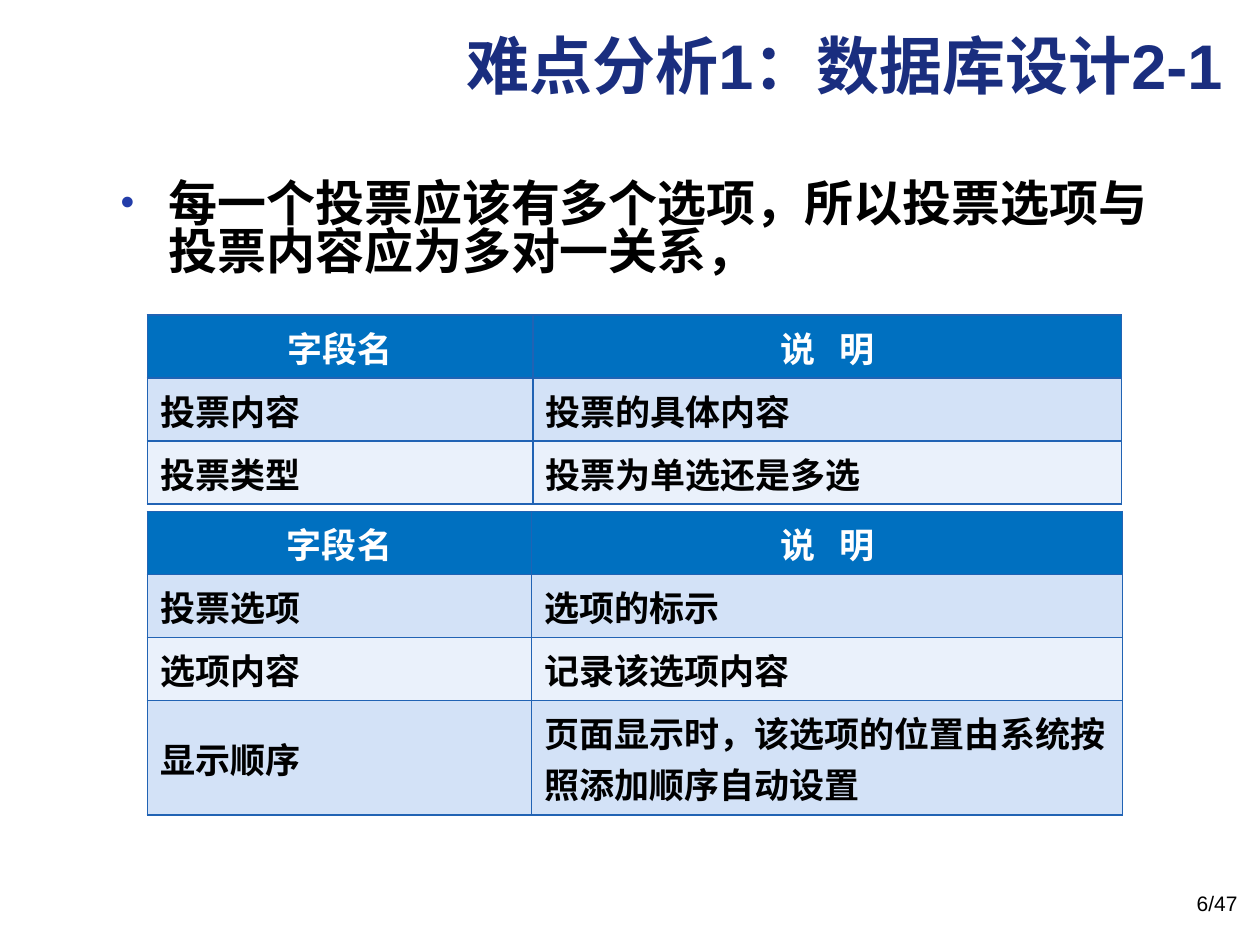
from dataclasses import dataclass

from lxml.etree import SubElement
from pptx import Presentation
from pptx.dml.color import RGBColor
from pptx.enum.text import MSO_ANCHOR, PP_ALIGN
from pptx.oxml.ns import qn
from pptx.util import Inches, Pt


@dataclass(frozen=True)
class Theme:
    title: str = "1A2E7F"
    text: str = "000000"
    bullet: str = "233DA9"
    header_text: str = "FFFFFF"
    header: str = "0070C0"
    bands: tuple = ("D3E2F7", "EAF1FB")
    border: str = "2163B4"
    latin: str = "Arial"
    cjk: str = "Noto Sans CJK SC"
    title_size: int = 36
    body_size: int = 28
    table_size: int = 20
    page_size: int = 12


@dataclass(frozen=True)
class FieldTable:
    top: float
    widths: tuple
    heights: tuple
    rows: tuple


THEME = Theme()
TABLE_LEFT = 1.17
HEADER = ("字段名", "说   明")
TABLES = (
    FieldTable(2.5, (3.06, 4.67), (0.5,) * 3, (
        ("投票内容", "投票的具体内容"),
        ("投票类型", "投票为单选还是多选"),
    )),
    FieldTable(4.06, (3.05, 4.69), (0.5, 0.5, 0.5, 0.91), (
        ("投票选项", "选项的标示"),
        ("选项内容", "记录该选项内容"),
        ("显示顺序", "页面显示时，该选项的位置由系统按照添加顺序自动设置"),
    )),
)


def write(tf, text: str, *, size: int, color: str = THEME.text, bold: bool = True,
          font: str = THEME.latin, align=PP_ALIGN.LEFT, spacing: float = 1.0):
    """Fill a text frame with one formatted paragraph and return it."""
    tf.word_wrap = True
    p = tf.paragraphs[0]
    p.alignment = align
    p.line_spacing = spacing
    r = p.add_run()
    r.text = text
    r.font.size = Pt(size)
    r.font.bold = bold
    r.font.name = font
    r.font.color.rgb = RGBColor.from_string(color)
    SubElement(r.font._element, qn("a:ea"), typeface=THEME.cjk)
    return p


def add_text(s, box: tuple, text: str, **fmt):
    sp = s.shapes.add_textbox(*map(Inches, box))
    return write(sp.text_frame, text, **fmt)


def add_bullet(p, indent: float) -> None:
    pPr = p._p.get_or_add_pPr()
    pPr.set("marL", str(Inches(indent)))
    pPr.set("indent", str(-Inches(indent)))
    color = SubElement(pPr, qn("a:buClr"))
    SubElement(color, qn("a:srgbClr"), val=THEME.bullet)
    SubElement(pPr, qn("a:buSzPct"), val="80000")
    SubElement(pPr, qn("a:buFont"), typeface=THEME.latin)
    SubElement(pPr, qn("a:buChar"), char="•")


def add_borders(cell) -> None:
    tcPr = cell._tc.get_or_add_tcPr()
    for i, side in enumerate(("lnL", "lnR", "lnT", "lnB")):
        ln = tcPr.makeelement(qn(f"a:{side}"), {"w": str(Pt(1))})
        fill = SubElement(ln, qn("a:solidFill"))
        SubElement(fill, qn("a:srgbClr"), val=THEME.border)
        tcPr.insert(i, ln)


def add_field_table(s, spec_: FieldTable) -> None:
    rows = (HEADER, *spec_.rows)
    table = s.shapes.add_table(
        len(rows), len(HEADER), Inches(TABLE_LEFT), Inches(spec_.top),
        Inches(sum(spec_.widths)), Inches(sum(spec_.heights))).table
    for col, width in zip(table.columns, spec_.widths):
        col.width = Inches(width)
    for i, (texts, height) in enumerate(zip(rows, spec_.heights)):
        table.rows[i].height = Inches(height)
        if i == 0:
            fill = THEME.header
            fmt = dict(color=THEME.header_text, font=THEME.cjk, align=PP_ALIGN.CENTER)
        else:
            fill, fmt = THEME.bands[(i - 1) % 2], {}
        for j, text in enumerate(texts):
            cell = table.cell(i, j)
            cell.vertical_anchor = MSO_ANCHOR.MIDDLE
            cell.fill.solid()
            cell.fill.fore_color.rgb = RGBColor.from_string(fill)
            add_borders(cell)
            write(cell.text_frame, text, size=THEME.table_size, **fmt)


def main() -> None:
    prs = Presentation()
    prs.slide_width, prs.slide_height = Inches(10), Inches(7.5)
    s = prs.slides.add_slide(prs.slide_layouts[6])

    # Body statement
    p = add_text(s, (0.86, 1.4, 8.36, 5.48),
                 "每一个投票应该有多个选项，所以投票选项与投票内容应为多对一关系，",
                 size=THEME.body_size, spacing=0.82)
    p.space_before = Pt(6)
    add_bullet(p, 0.38)

    # Title
    add_text(s, (0.8, 0.23, 9, 0.98), "难点分析1：数据库设计2-1",
             size=THEME.title_size, color=THEME.title, align=PP_ALIGN.RIGHT, spacing=0.9)

    # Field tables
    for field_table in TABLES:
        add_field_table(s, field_table)

    # Page number
    add_text(s, (7.59, 7.02, 2.33, 0.4), "6/47",
             size=THEME.page_size, bold=False, align=PP_ALIGN.RIGHT)

    prs.save("out.pptx")


if __name__ == "__main__":
    main()
